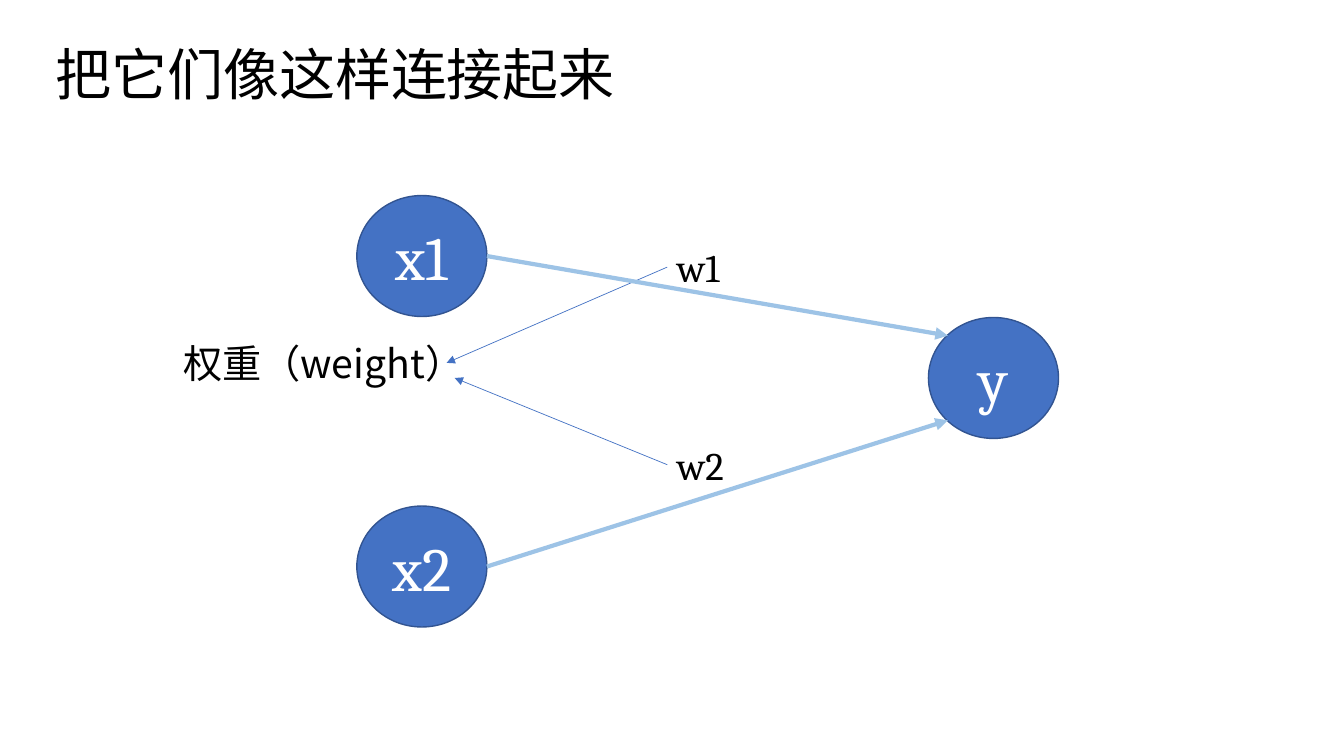
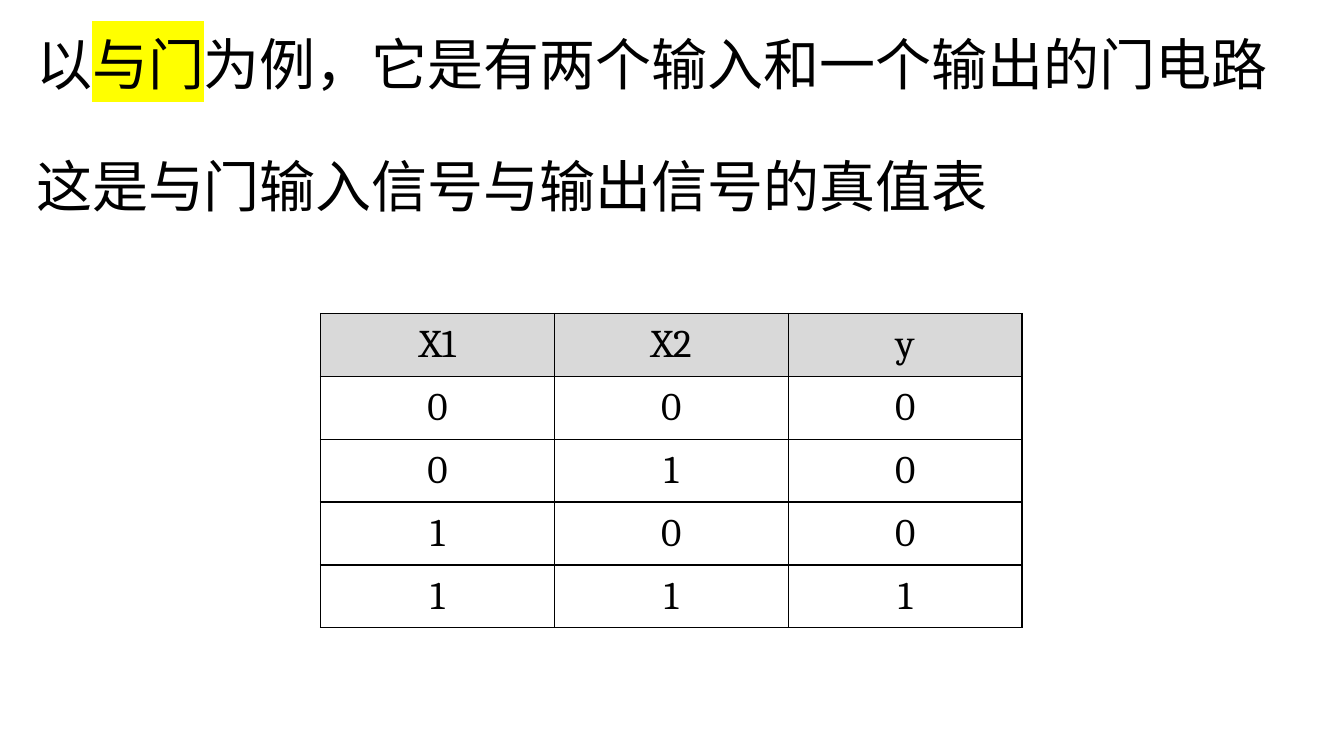
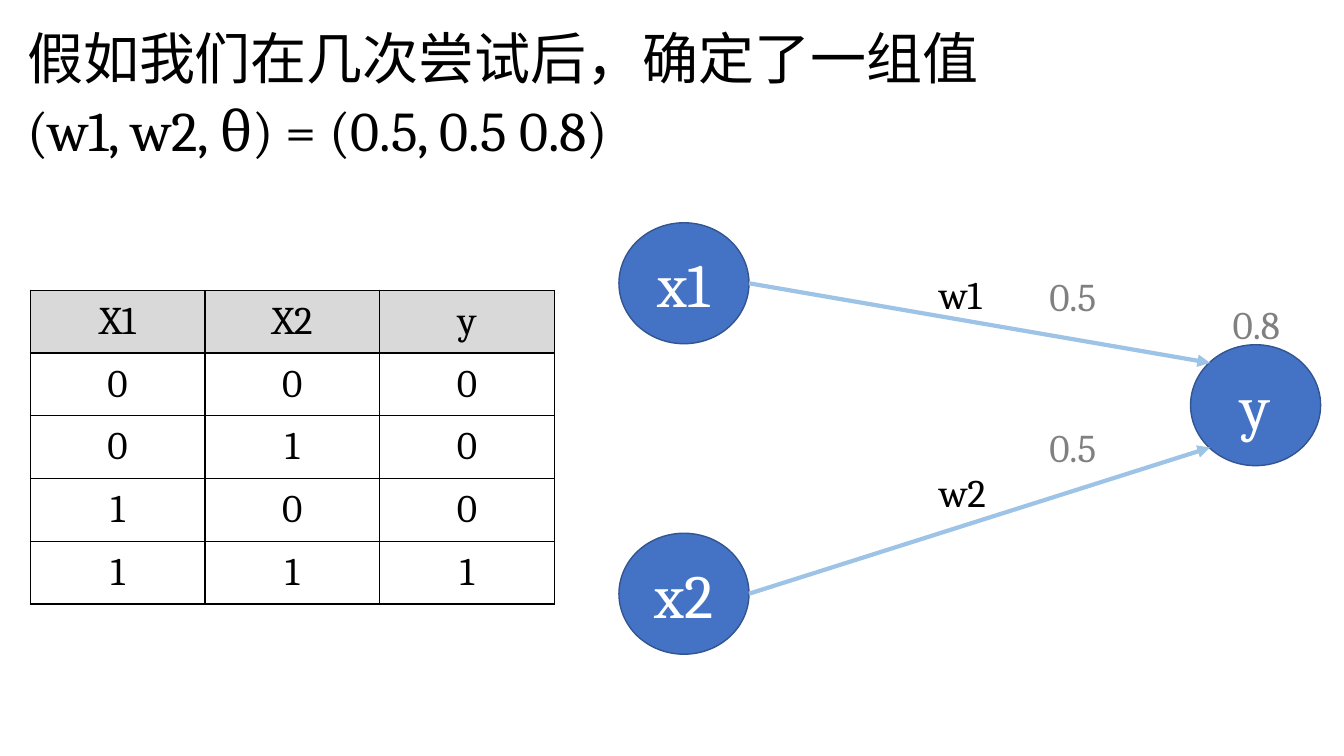
from lxml import etree
from pptx import Presentation
from pptx.dml.color import RGBColor as RGB
from pptx.enum.shapes import MSO_CONNECTOR as LINE, MSO_SHAPE as SHAPE
from pptx.enum.text import MSO_ANCHOR as ANCHOR, MSO_AUTO_SIZE as FIT, PP_ALIGN as ALIGN
from pptx.oxml import parse_xml
from pptx.oxml.ns import nsdecls, qn
from pptx.util import Inches, Pt

BLACK = RGB(0x00, 0x00, 0x00)
WHITE = RGB(0xFF, 0xFF, 0xFF)
GREY = RGB(0x80, 0x80, 0x80)
HEADER = RGB(0xD9, 0xD9, 0xD9)
BLUE = RGB(0x44, 0x72, 0xC4)
OUTLINE = RGB(0x32, 0x54, 0x91)
PALE = RGB(0x9D, 0xC3, 0xE6)
YELLOW = RGB(0xFF, 0xFF, 0x00)
SANS, SERIF = "Noto Sans CJK SC", "Cambria"

prs = Presentation()
prs.slide_width, prs.slide_height = Inches(13.33), Inches(7.5)
s1, s2, s3 = [prs.slides.add_slide(prs.slide_layouts[6]) for _ in range(3)]


def place(*shares):
    """Turn x, y pairs in percent of the slide into lengths."""
    sides = (prs.slide_width, prs.slide_height) * 2
    return [round(side * share / 100) for side, share in zip(sides, shares)]


def write(tf, text, size=28, font=SERIF, color=BLACK, align=ALIGN.LEFT, before=0, mark=""):
    """Add one paragraph; the part equal to mark is highlighted."""
    p = tf.paragraphs[0]
    if p.runs:
        p = tf.add_paragraph()
    p.alignment = align
    p.line_spacing = 0.9 if font == SANS else 1.0
    if before:
        p.space_before = Pt(before)
    for part in text.partition(mark) if mark else [text]:
        r = p.add_run()
        r.text = part
        r.font.size, r.font.bold = Pt(size), False
        r.font.color.rgb = color
        r.font.name = font
        latin = r.font._element.find(qn("a:latin"))
        latin.addnext(parse_xml(f'<a:ea {nsdecls("a")} typeface="{font}"/>'))
        if part == mark:
            latin.addprevious(parse_xml(
                f'<a:highlight {nsdecls("a")}><a:srgbClr val="{YELLOW}"/></a:highlight>'))


# Titles, then labels: slide, area, paragraphs with their format
title = dict(size=40, font=SANS)
boxes = [
    (s1, (3.38, 5.6, 65.78, 10.27), [("把它们像这样连接起来", title)]),
    (s2, (1.95, 4.27, 98.03, 37.2), [
        ("以与门为例，它是有两个输入和一个输出的门电路", dict(title, mark="与门")),
        ("这是与门输入信号与输出信号的真值表", dict(title, before=44))]),
    (s3, (1.28, 3.47, 99.23, 19.33), [
        ("假如我们在几次尝试后，确定了一组值", title),
        ("(w1, w2, θ) = (0.5, 0.5 0.8)", dict(size=40, before=3))]),
    (s1, (12.9, 44.93, 24.68, 7.6), [("权重（weight）", dict(font=SANS))]),
]
for value, x, y in [("0.5", 77.33, 35.33), ("0.5", 77.33, 55.33), ("0.8", 90.98, 39.07)]:
    boxes.append((s3, (x, y, 5.48, 7.6), [(value, dict(color=GREY))]))

# Arrows from the weights to their name: slide, ends, colour, width
arrows = [
    (s1, (49.65, 35.33, 33.23, 48), BLUE, 0.5),
    (s1, (49.65, 61.47, 33.83, 50), BLUE, 0.5),
]

# Networks: two inputs joined to one output
NODE_W, NODE_H = 9.68, 16
DIAGONAL = 0.15  # share of a node's size where its outline meets the diagonal
for s, left, top in [(s1, 26.55, 25.87), (s3, 46.05, 29.47)]:
    low, out_x, out_y = top + 41.07, left + 42.53, top + 16.13
    for name, x, y in [("x2", left, low), ("y", out_x, out_y), ("x1", left, top)]:
        sp = s.shapes.add_shape(SHAPE.OVAL, *place(x, y, NODE_W, NODE_H))
        sp.shadow.inherit = False
        sp.fill.solid()
        sp.fill.fore_color.rgb = BLUE
        sp.line.color.rgb, sp.line.width = OUTLINE, Pt(1)
        sp.text_frame.vertical_anchor = ANCHOR.MIDDLE
        write(sp.text_frame, name, size=44, color=WHITE, align=ALIGN.CENTER)
    for y, share in [(top, DIAGONAL), (low, 1 - DIAGONAL)]:
        ends = (left + NODE_W, y + NODE_H / 2, out_x + DIAGONAL * NODE_W, out_y + share * NODE_H)
        arrows.append((s, ends, PALE, 3))
    for name, y in [("w1", top + 5.6), ("w2", top + 31.87)]:
        boxes.append((s, (left + 23.1, y, 7.43, 7.6), [(name, {})]))

for s, ends, color, width in arrows:
    cxn = s.shapes.add_connector(LINE.STRAIGHT, *place(*ends))
    cxn.line.color.rgb, cxn.line.width = color, Pt(width)
    etree.SubElement(cxn.line._get_or_add_ln(), qn("a:tailEnd"), type="triangle")
    etree.SubElement(cxn._element.spPr, qn("a:effectLst"))

for s, area, paragraphs in boxes:
    tf = s.shapes.add_textbox(*place(*area)).text_frame
    tf.word_wrap, tf.auto_size = True, FIT.SHAPE_TO_FIT_TEXT
    for text, fmt in paragraphs:
        write(tf, text, **fmt)

# Truth tables of the AND gate
rows = [("X1", "X2", "y")] + [(a, b, a & b) for a in (0, 1) for b in (0, 1)]
for s, area in [(s2, (23.85, 41.47, 52.2, 41.6)), (s3, (2.25, 38.4, 39, 41.5))]:
    table = s.shapes.add_table(len(rows), 3, *place(*area)).table
    table.first_row = table.horz_banding = False
    for i, row in enumerate(rows):
        for j, value in enumerate(row):
            cell = table.cell(i, j)
            cell.vertical_anchor = ANCHOR.MIDDLE
            cell.fill.solid()
            cell.fill.fore_color.rgb = HEADER if i == 0 else WHITE
            write(cell.text_frame, str(value), align=ALIGN.CENTER)
            for k, side in enumerate("LRTB"):
                cell._tc.tcPr.insert(k, parse_xml(
                    f'<a:ln{side} {nsdecls("a")} w="12700"><a:solidFill>'
                    f'<a:srgbClr val="{BLACK}"/></a:solidFill></a:ln{side}>'))

prs.save("out.pptx")
